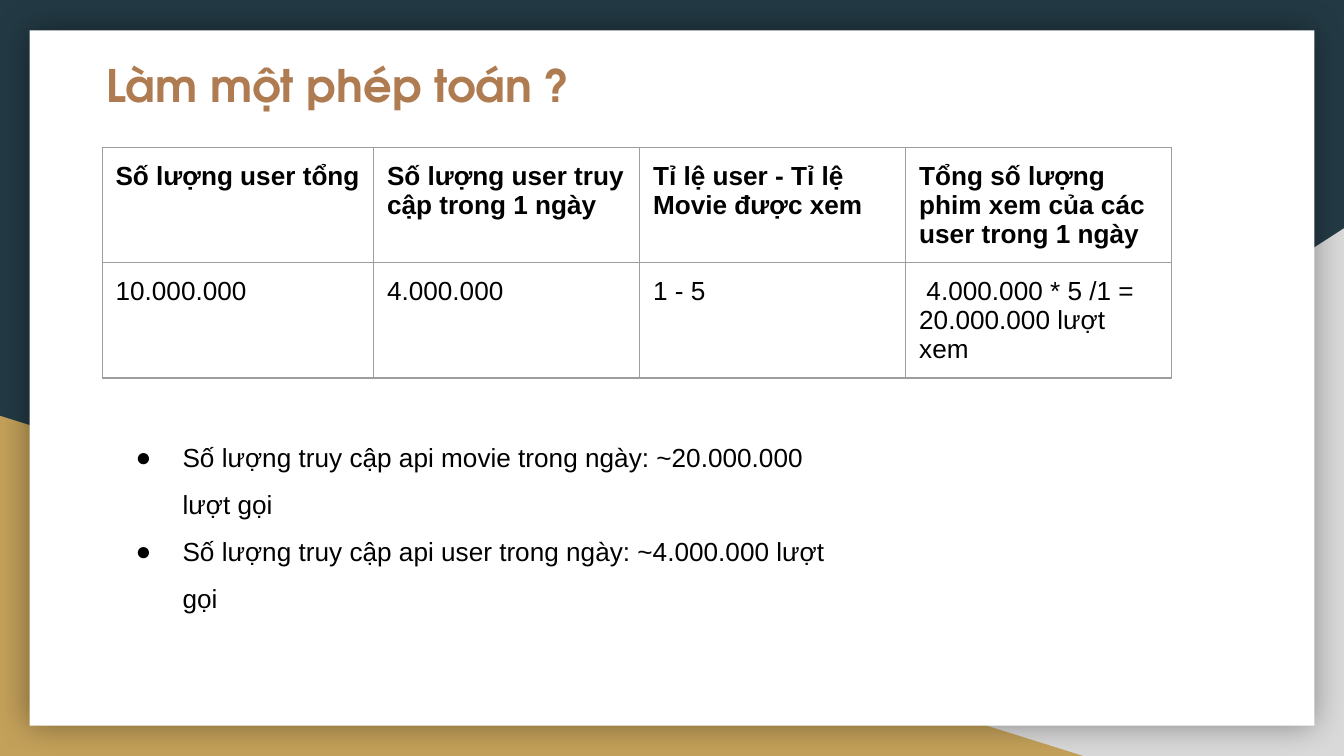
"""Build the slide that estimates daily API traffic from the number of users."""
from dataclasses import dataclass

from lxml import etree
from pptx import Presentation
from pptx.dml.color import RGBColor
from pptx.enum.shapes import MSO_SHAPE
from pptx.enum.text import MSO_ANCHOR, PP_ALIGN
from pptx.oxml.ns import qn
from pptx.util import Inches, Pt

TRIANGLE = MSO_SHAPE.RIGHT_TRIANGLE
RECTANGLE = MSO_SHAPE.RECTANGLE
TOP = MSO_ANCHOR.TOP
LEFT = PP_ALIGN.LEFT

NAVY = RGBColor(0x23, 0x3A, 0x44)
GREY = RGBColor(0xD9, 0xD9, 0xD9)
GOLD = RGBColor(0xC4, 0xA1, 0x5A)
WHITE = RGBColor(0xFF, 0xFF, 0xFF)
BROWN = RGBColor(0xAF, 0x7B, 0x51)
BLACK = RGBColor(0, 0, 0)
BORDER = RGBColor(0x9E, 0x9E, 0x9E)

WIDTH = 10
HEIGHT = WIDTH * 9 / 16
TITLE_FONT, BODY_FONT = "TeX Gyre Adventor", "Arial"
BODY_SIZE = 14
PADDING = Inches(0.1)
CONTENT_LEFT = 0.76
COLUMN_WIDTHS = (2.02, 1.98, 1.98, 1.98)
ROW_HEIGHT = 0.42

TITLE = "Làm một phép toán ?"
ROWS = (
    ("Số lượng user tổng", "Số lượng user truy cập trong 1 ngày",
     "Tỉ lệ user - Tỉ lệ Movie được xem",
     "Tổng số lượng phim xem của các user trong 1 ngày"),
    ("10.000.000", "4.000.000", "1 - 5",
     " 4.000.000 * 5 /1 = 20.000.000 lượt xem"),
)
BULLETS = (
    "Số lượng truy cập api movie trong ngày: ~20.000.000 lượt gọi",
    "Số lượng truy cập api user trong ngày: ~4.000.000 lượt gọi",
)


@dataclass(frozen=True)
class Panel:
    """A backdrop shape, placed by shares of the slide's size."""
    kind: int
    left: float
    top: float
    width: float
    height: float
    color: RGBColor
    flipped: bool = False
    shadowed: bool = False


PANELS = (
    Panel(TRIANGLE, 0.392, 0.302, 0.608, 0.698, GREY, flipped=True),
    Panel(TRIANGLE, 0, 0.55, 0.806, 0.45, GOLD),
    Panel(RECTANGLE, 0.022, 0.04, 0.956, 0.92, WHITE, shadowed=True),
)


def add_child(parent, tag: str, **attributes: str):
    """Append a drawing element to its parent."""
    return etree.SubElement(parent, qn(tag), attributes)


def add_color(parent, color: RGBColor):
    """Append an RGB colour element."""
    return add_child(parent, "a:srgbClr", val=str(color))


def add_panel(slide, panel: Panel) -> None:
    """Draw one backdrop shape."""
    shape = slide.shapes.add_shape(
        panel.kind, Inches(panel.left * WIDTH), Inches(panel.top * HEIGHT),
        Inches(panel.width * WIDTH), Inches(panel.height * HEIGHT))
    shape.shadow.inherit = False
    shape.fill.solid()
    shape.fill.fore_color.rgb = panel.color
    shape.line.fill.background()
    properties = shape.element.spPr
    if panel.flipped:
        properties.find(qn("a:xfrm")).set("flipH", "1")
    if panel.shadowed:
        effects = properties.find(qn("a:effectLst"))
        shadow = add_child(effects, "a:outerShdw", blurRad=str(Pt(18)),
                           dist="0", dir="0", algn="ctr", rotWithShape="0")
        add_child(add_color(shadow, BLACK), "a:alpha", val="40000")


def pad(frame) -> None:
    """Give a text frame or cell equal insets and top anchoring."""
    frame.margin_left = frame.margin_right = PADDING
    frame.margin_top = frame.margin_bottom = PADDING
    frame.vertical_anchor = TOP


def add_run(paragraph, text: str, font: str = BODY_FONT, size: int = BODY_SIZE,
            color: RGBColor = BLACK, bold: bool = False) -> None:
    """Add a formatted run to a left-aligned paragraph."""
    paragraph.alignment = LEFT
    run = paragraph.add_run()
    run.text = text
    run.font.name = font
    run.font.size = Pt(size)
    run.font.bold = bold
    run.font.color.rgb = color


def indent(paragraph, first_line: float):
    """Indent a paragraph and return its properties element."""
    properties = paragraph._p.get_or_add_pPr()
    properties.set("marL", str(Inches(0.5)))
    properties.set("indent", str(Inches(first_line)))
    return properties


def add_title(slide) -> None:
    """Place and format the title in front of the backdrop."""
    title = slide.shapes.title
    title.element.getparent().append(title.element)
    title.left, title.top = Inches(0.19), Inches(0.33)
    title.width, title.height = Inches(9.32), Inches(0.66)
    frame = title.text_frame
    frame.word_wrap = True
    pad(frame)
    paragraph = frame.paragraphs[0]
    indent(paragraph, 0)
    add_run(paragraph, TITLE, TITLE_FONT, 24, BROWN, True)


def set_borders(cell) -> None:
    """Draw a thin line on all four sides of a cell."""
    properties = cell._tc.get_or_add_tcPr()
    for position, side in enumerate(("a:lnL", "a:lnR", "a:lnT", "a:lnB")):
        line = add_child(properties, side, w=str(Pt(0.75)))
        add_color(add_child(line, "a:solidFill"), BORDER)
        properties.insert(position, line)


def add_estimate_table(slide) -> None:
    """Draw the table of user numbers and the resulting views."""
    table = slide.shapes.add_table(
        len(ROWS), len(COLUMN_WIDTHS), Inches(CONTENT_LEFT), Inches(1.1),
        Inches(sum(COLUMN_WIDTHS)), Inches(ROW_HEIGHT * len(ROWS))).table
    table.horz_banding = False
    table.first_row = False
    for column, width in zip(table.columns, COLUMN_WIDTHS):
        column.width = Inches(width)
    for row_index, texts in enumerate(ROWS):
        for column_index, text in enumerate(texts):
            cell = table.cell(row_index, column_index)
            cell.fill.background()
            pad(cell)
            set_borders(cell)
            add_run(cell.text_frame.paragraphs[0], text, bold=row_index == 0)


def add_bullets(slide) -> None:
    """Write the bulleted conclusions below the table."""
    frame = slide.shapes.add_textbox(
        Inches(CONTENT_LEFT), Inches(3.07), Inches(5.69), Inches(0.66)).text_frame
    frame.word_wrap = True
    pad(frame)
    for index, text in enumerate(BULLETS):
        paragraph = frame.add_paragraph() if index else frame.paragraphs[0]
        paragraph.line_spacing = 1.5
        properties = indent(paragraph, -0.35)
        add_color(add_child(properties, "a:buClr"), BLACK)
        add_child(properties, "a:buFont", typeface=BODY_FONT)
        add_child(properties, "a:buChar", char="●")
        add_run(paragraph, text)


def main() -> None:
    """Build and save the presentation."""
    presentation = Presentation()
    presentation.slide_width, presentation.slide_height = Inches(WIDTH), Inches(HEIGHT)
    slide = presentation.slides.add_slide(presentation.slide_layouts.get_by_name("Title Only"))
    slide.background.fill.solid()
    slide.background.fill.fore_color.rgb = NAVY
    for panel in PANELS:
        add_panel(slide, panel)
    add_title(slide)
    add_estimate_table(slide)
    add_bullets(slide)
    presentation.save("out.pptx")


if __name__ == "__main__":
    main()
